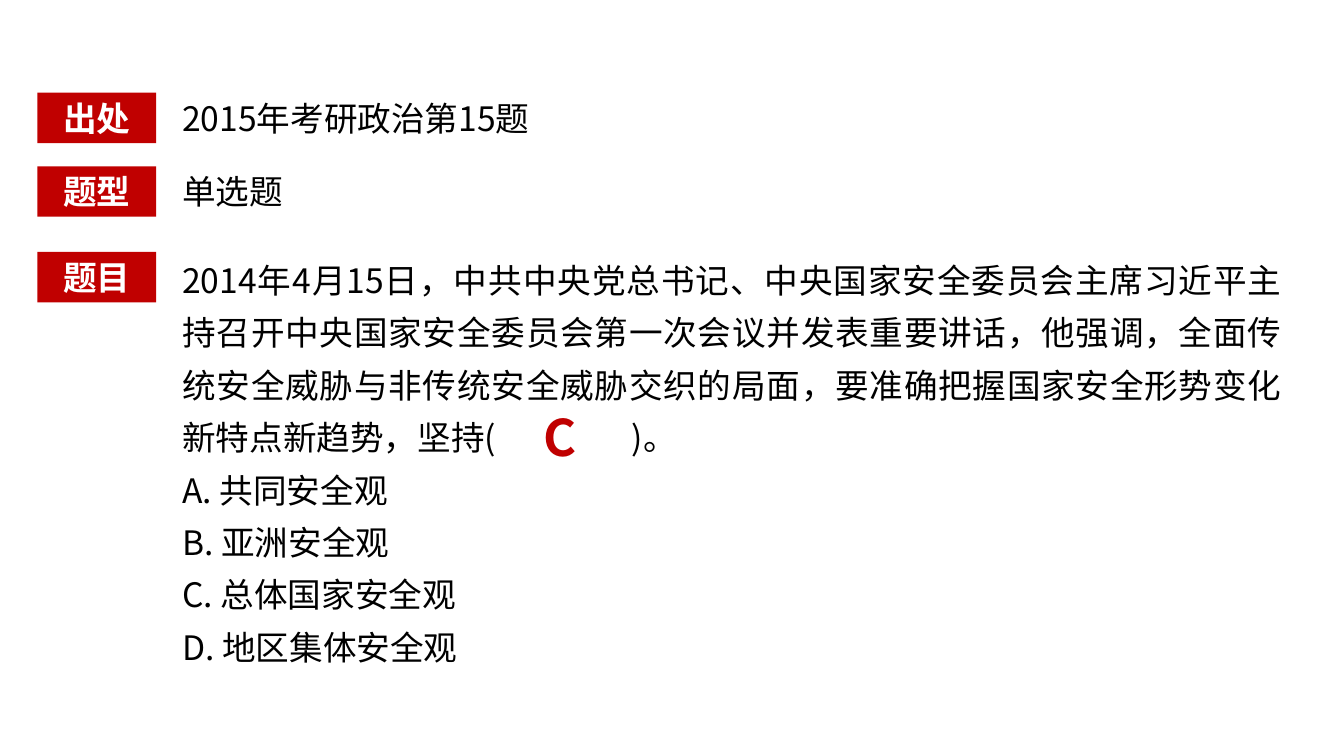
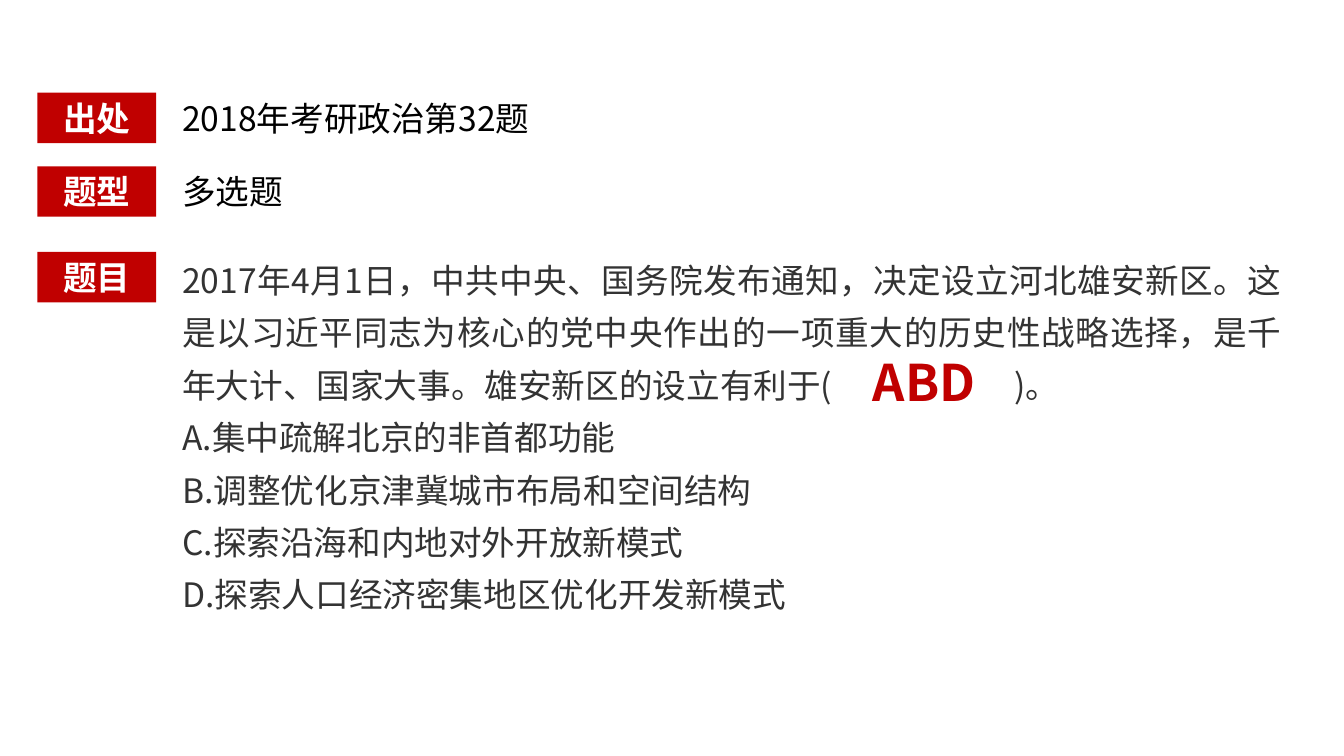
from pptx import Presentation
from pptx.dml.color import RGBColor
from pptx.enum.lang import MSO_LANGUAGE_ID as Lang
from pptx.enum.shapes import MSO_SHAPE as Shape
from pptx.enum.text import MSO_ANCHOR as Anchor, MSO_AUTO_SIZE as AutoSize, PP_ALIGN as Align
from pptx.oxml.ns import qn
from pptx.util import Inches, Pt
from lxml.etree import SubElement

FONT = "Noto Sans CJK SC"
RED, WHITE, BLACK, GREY = "C00000", "FFFFFF", "000000", "333333"
LABELS = [("出处", 0.92), ("题型", 1.65), ("题目", 2.5)]
LABEL_X, TEXT_X, ROW_H = 0.37, 1.71, 0.5

QUESTIONS = [
    {
        "source": "2015年考研政治第15题",
        "type": "单选题",
        "stem": "2014年4月15日，中共中央党总书记、中央国家安全委员会主席习近平"
                "主持召开中央国家安全委员会第一次会议并发表重要讲话，他强调，全面"
                "传统安全威胁与非传统安全威胁交织的局面，要准确把握国家安全形势变"
                "化新特点新趋势，坚持(\t)。",
        "options": ["A. 共同安全观", "B. 亚洲安全观", "C. 总体国家安全观", "D. 地区集体安全观"],
        "color": BLACK, "height": 4.25, "blank_end": 4.46,
        "answer": "C", "answer_at": (5.29, 3.98),
    },
    {
        "source": "2018年考研政治第32题",
        "type": "多选题",
        "stem": "2017年4月1日，中共中央、国务院发布通知，决定设立河北雄安新区。"
                "这是以习近平同志为核心的党中央作出的一项重大的历史性战略选择，是"
                "千年大计、国家大事。雄安新区的设立有利于(\t)。",
        "options": ["A.集中疏解北京的非首都功能", "B.调整优化京津冀城市布局和空间结构",
                    "C.探索沿海和内地对外开放新模式", "D.探索人口经济密集地区优化开发新模式"],
        "color": GREY, "height": 3.73, "blank_end": 8.25,
        "answer": "ABD", "answer_at": (8.56, 3.43),
    },
]


def rgb(value):
    return RGBColor.from_string(value)


def write(p, text, color, size=24, bold=False):
    r = p.add_run()
    r.text = text
    r.font.color.rgb = rgb(color)
    style = {"name": FONT, "size": Pt(size), "bold": bold,
             "language_id": Lang.SIMPLIFIED_CHINESE}
    for key, value in style.items():
        setattr(r.font, key, value)
    SubElement(r.font._element, qn("a:ea")).set("typeface", FONT)


def add_text(s, x, y, w, h):
    tf = s.shapes.add_textbox(*map(Inches, (x, y, w, h))).text_frame
    tf.word_wrap = True
    tf.auto_size = AutoSize.SHAPE_TO_FIT_TEXT
    return tf


def add_label(s, text, y):
    sp = s.shapes.add_shape(Shape.RECTANGLE, *map(Inches, (LABEL_X, y, 1.18, ROW_H)))
    sp.shadow.inherit = False
    sp.fill.solid()
    sp.fill.fore_color.rgb = rgb(RED)
    sp.line.fill.background()
    tf = sp.text_frame
    tf.word_wrap = True
    tf.vertical_anchor = Anchor.TOP
    p = tf.paragraphs[0]
    p.alignment = Align.CENTER
    write(p, text, WHITE, bold=True)


def add_tab(p, position):
    tabs = SubElement(p._p.get_or_add_pPr(), qn("a:tabLst"))
    tab = SubElement(tabs, qn("a:tab"))
    tab.set("pos", str(Inches(position)))
    tab.set("algn", "l")


def add_question(s, q):
    tf = add_text(s, TEXT_X, 2.41, 11.1, q["height"])
    for i, text in enumerate([q["stem"], *q["options"]]):
        p = tf.add_paragraph() if i else tf.paragraphs[0]
        if i == 0:
            add_tab(p, q["blank_end"])
            p.alignment = Align.JUSTIFY
        p.line_spacing = 1.3
        write(p, text, q["color"])


def build(prs, q):
    s = prs.slides.add_slide(prs.slide_layouts[6])
    for label, y in LABELS:
        add_label(s, label, y)
    for (_, y), key in zip(LABELS, ("source", "type")):
        write(add_text(s, TEXT_X, y, 9.06, ROW_H).paragraphs[0], q[key], BLACK)
    add_question(s, q)
    answer = add_text(s, *q["answer_at"], 1.97, 0.71)
    write(answer.paragraphs[0], q["answer"], RED, 36, True)


def main():
    prs = Presentation()
    prs.slide_width, prs.slide_height = Inches(13.33), Inches(7.5)
    for q in QUESTIONS:
        build(prs, q)
    prs.save("out.pptx")


if __name__ == "__main__":
    main()
